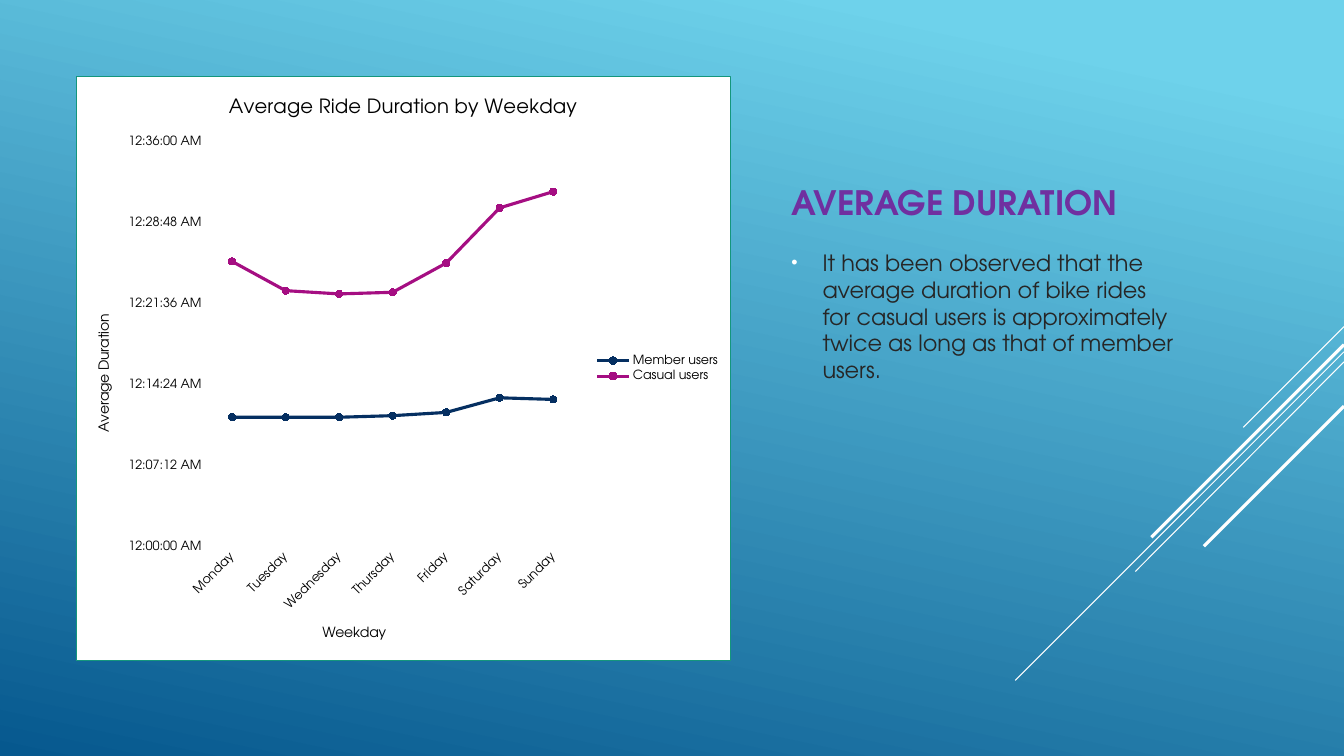
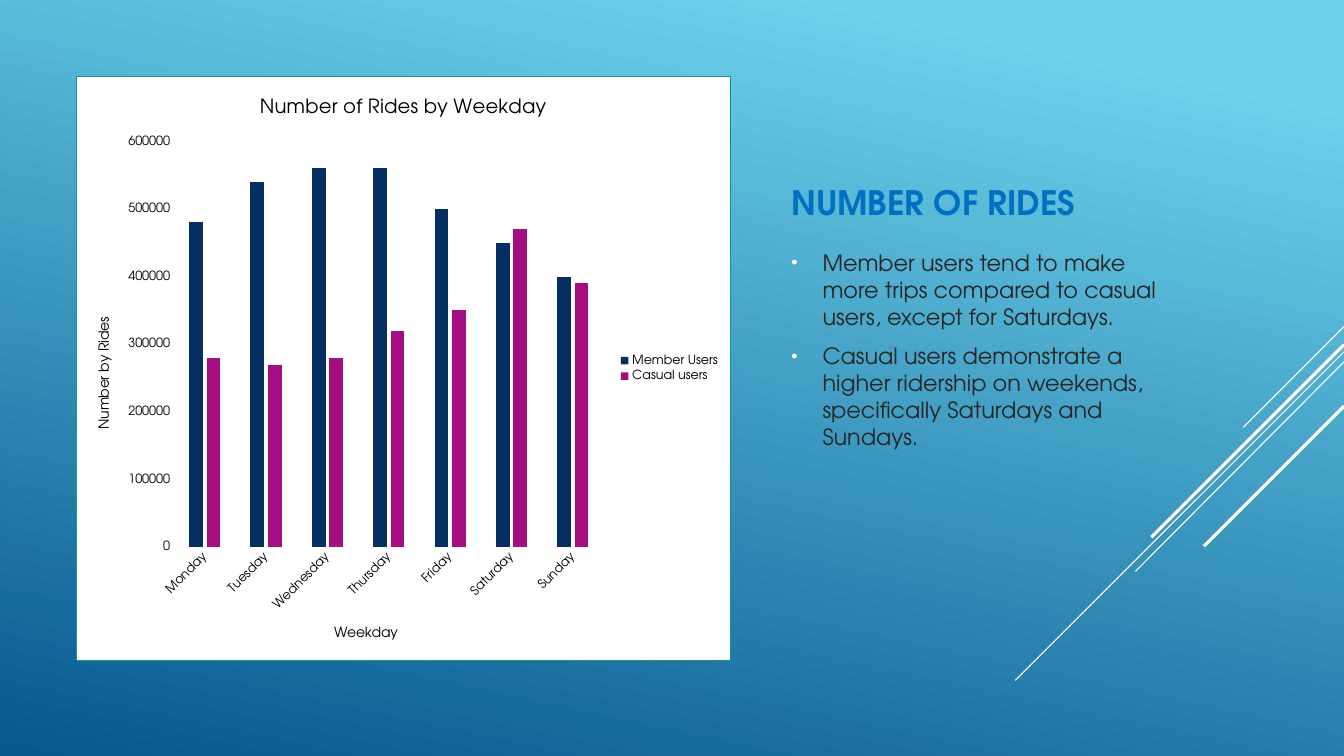
"""Build two slides on bike rides by weekday, each with a chart and findings."""
from lxml import etree
from pptx import Presentation
from pptx.chart.data import CategoryChartData
from pptx.dml.color import RGBColor
from pptx.enum.chart import XL_CHART_TYPE, XL_LEGEND_POSITION, XL_MARKER_STYLE, XL_TICK_MARK
from pptx.enum.shapes import MSO_CONNECTOR
from pptx.enum.text import MSO_ANCHOR
from pptx.oxml import parse_xml
from pptx.oxml.ns import nsdecls, qn
from pptx.util import Inches, Pt

COLORS = {
    "sky": "6ED2EB", "deep": "06588E", "white": "FFFFFF", "black": "000000",
    "body": "262626", "purple": "7030A0", "blue": "0070C0",
    "border": "14967C", "member": "052F61", "casual": "A50E82",
}
FONT = "TeX Gyre Adventor"
DAYS = ["Monday", "Tuesday", "Wednesday", "Thursday", "Friday", "Saturday", "Sunday"]
RIGHT = 13.33
STRIPES = [
    (3.24, 12.33, 4.24, 0.75),
    (3.49, 10.07, 6.75, 0.75),
    (3.59, 11.26, 5.67, 0.75),
    (3.42, 11.42, 5.33, 2.25),
    (4.03, 11.94, 5.42, 2.25),
]


def rgb(name):
    return RGBColor.from_string(COLORS[name])


class Deck:
    def __init__(self):
        self.prs = Presentation()
        self.prs.slide_width, self.prs.slide_height = Inches(RIGHT), Inches(7.5)
        self.slide = None

    def new_slide(self):
        self.slide = self.prs.slides.add_slide(self.prs.slide_layouts[6])
        fill = self.slide.background.fill
        fill.gradient()
        fill.gradient_angle = 258
        for stop, pos, color in zip(fill.gradient_stops, (0.1, 1), ("sky", "deep")):
            stop.position = pos
            stop.color.rgb = rgb(color)
        for y1, x2, y2, width in STRIPES:
            self.line(RIGHT, y1, x2, y2, width)

    def line(self, x1, y1, x2, y2, width):
        ln = self.slide.shapes.add_connector(
            MSO_CONNECTOR.STRAIGHT, Inches(x1), Inches(y1), Inches(x2), Inches(y2))
        ln.line.color.rgb = rgb("white")
        ln.line.width = Pt(width)
        etree.SubElement(ln._element.spPr, qn("a:effectLst"))

    def font(self, font, size, color="black", bold=False):
        font.name, font.size, font.bold = FONT, Pt(size), bold
        font.color.rgb = rgb(color)

    def frame(self, y, h):
        sp = self.slide.shapes.add_textbox(Inches(7.75), Inches(y), Inches(4), Inches(h))
        sp.text_frame.word_wrap = True
        return sp.text_frame

    def run(self, p, text, size, color="black", bold=False):
        r = p.add_run()
        r.text = text
        self.font(r.font, size, color, bold)

    def title(self, text, color):
        tf = self.frame(0.75, 1.5)
        tf.vertical_anchor = MSO_ANCHOR.BOTTOM
        self.run(tf.paragraphs[0], text, 24, color, True)

    def bullets(self, items):
        tf = self.frame(2.42, 2.29)
        for i, text in enumerate(items):
            p = tf.add_paragraph() if i else tf.paragraphs[0]
            p.space_before, p.space_after = Pt(3.2), Pt(6)
            pPr = p._p.get_or_add_pPr()
            pPr.set("marL", str(Inches(0.31)))
            pPr.set("indent", str(Inches(-0.31)))
            color = etree.SubElement(pPr, qn("a:buClr"))
            etree.SubElement(color, qn("a:srgbClr"), val=COLORS["white"])
            etree.SubElement(pPr, qn("a:buSzPct"), val="80000")
            etree.SubElement(pPr, qn("a:buFont"), typeface="Arial")
            etree.SubElement(pPr, qn("a:buChar"), char="•")
            self.run(p, text, 16, "body")

    def axis(self, axis, title):
        self.run(axis.axis_title.text_frame.paragraphs[0], title, 10)
        axis.major_tick_mark = axis.minor_tick_mark = XL_TICK_MARK.NONE
        self.font(axis.tick_labels.font, 9)

    def chart(self, kind, title, value_title, series, top, step, fmt="General"):
        data = CategoryChartData(number_format=fmt)
        data.categories = DAYS
        for name, values in series:
            data.add_series(name, values)
        chart = self.slide.shapes.add_chart(
            kind, Inches(0.75), Inches(0.75), Inches(6.5), Inches(5.81), data).chart
        self.font(chart.font, 10)
        self.run(chart.chart_title.text_frame.paragraphs[0], title, 14)
        chart.chart_title.include_in_layout = False
        chart.has_legend = True
        chart.legend.position = XL_LEGEND_POSITION.RIGHT
        chart.legend.include_in_layout = False
        self.font(chart.legend.font, 9)

        cat, val = chart.category_axis, chart.value_axis
        self.axis(cat, "Weekday")
        cat.format.line.color.rgb = rgb("white")
        cat.format.line.width = Pt(0.75)
        cat._element.find(qn("c:txPr")).find(qn("a:bodyPr")).set("rot", "-2700000")
        self.axis(val, value_title)
        val.format.line.fill.background()
        val.minimum_scale, val.maximum_scale, val.major_unit = 0, top, step
        val.tick_labels.number_format = fmt
        val.tick_labels.number_format_is_linked = False
        grid = val.major_gridlines.format.line
        grid.color.rgb, grid.width = rgb("white"), Pt(0.75)

        plot = chart.plots[0]
        plot.vary_by_categories = False
        for s, color in zip(plot.series, ("member", "casual")):
            if kind == XL_CHART_TYPE.LINE_MARKERS:
                s.smooth = False
                s.format.line.color.rgb = rgb(color)
                s.format.line.width = Pt(2.25)
                s.marker.style, s.marker.size = XL_MARKER_STYLE.CIRCLE, 5
                target = s.marker.format
                target.line.color.rgb = rgb(color)
            else:
                plot.gap_width, plot.overlap = 219, -27
                target = s.format
            target.fill.solid()
            target.fill.fore_color.rgb = rgb(color)

        chart._chartSpace.find(qn("c:chart")).addnext(parse_xml(
            f'<c:spPr {nsdecls("c", "a")}>'
            f'<a:solidFill><a:srgbClr val="{COLORS["white"]}"/></a:solidFill>'
            f'<a:ln w="{Pt(1)}"><a:solidFill><a:srgbClr val="{COLORS["border"]}"/>'
            '</a:solidFill></a:ln></c:spPr>'))


deck = Deck()

deck.new_slide()
deck.title("AVERAGE DURATION", "purple")
deck.chart(
    XL_CHART_TYPE.LINE_MARKERS, "Average Ride Duration by Weekday", "Average Duration",
    [("Member users", (0.008, 0.008, 0.008, 0.0081, 0.0083, 0.0092, 0.0091)),
     ("Casual users", (0.0176, 0.0158, 0.0156, 0.0157, 0.0175, 0.0209, 0.0219))],
    0.025, 0.005, r"[$-F400]h:mm:ss\ AM/PM")
deck.bullets([
    "It has been observed that the average duration of bike rides for casual users "
    "is approximately twice as long as that of member users."])

deck.new_slide()
deck.title("NUMBER OF RIDES", "blue")
deck.chart(
    XL_CHART_TYPE.COLUMN_CLUSTERED, "Number of Rides by Weekday", "Number by Rides",
    [("Member Users", (480000, 540000, 560000, 560000, 500000, 450000, 400000)),
     ("Casual users", (280000, 270000, 280000, 320000, 350000, 470000, 390000))],
    600000, 100000)
deck.bullets([
    "Member users tend to make more trips compared to casual users, except for Saturdays.",
    "Casual users demonstrate a higher ridership on weekends, specifically Saturdays and Sundays."])

deck.prs.save("out.pptx")
